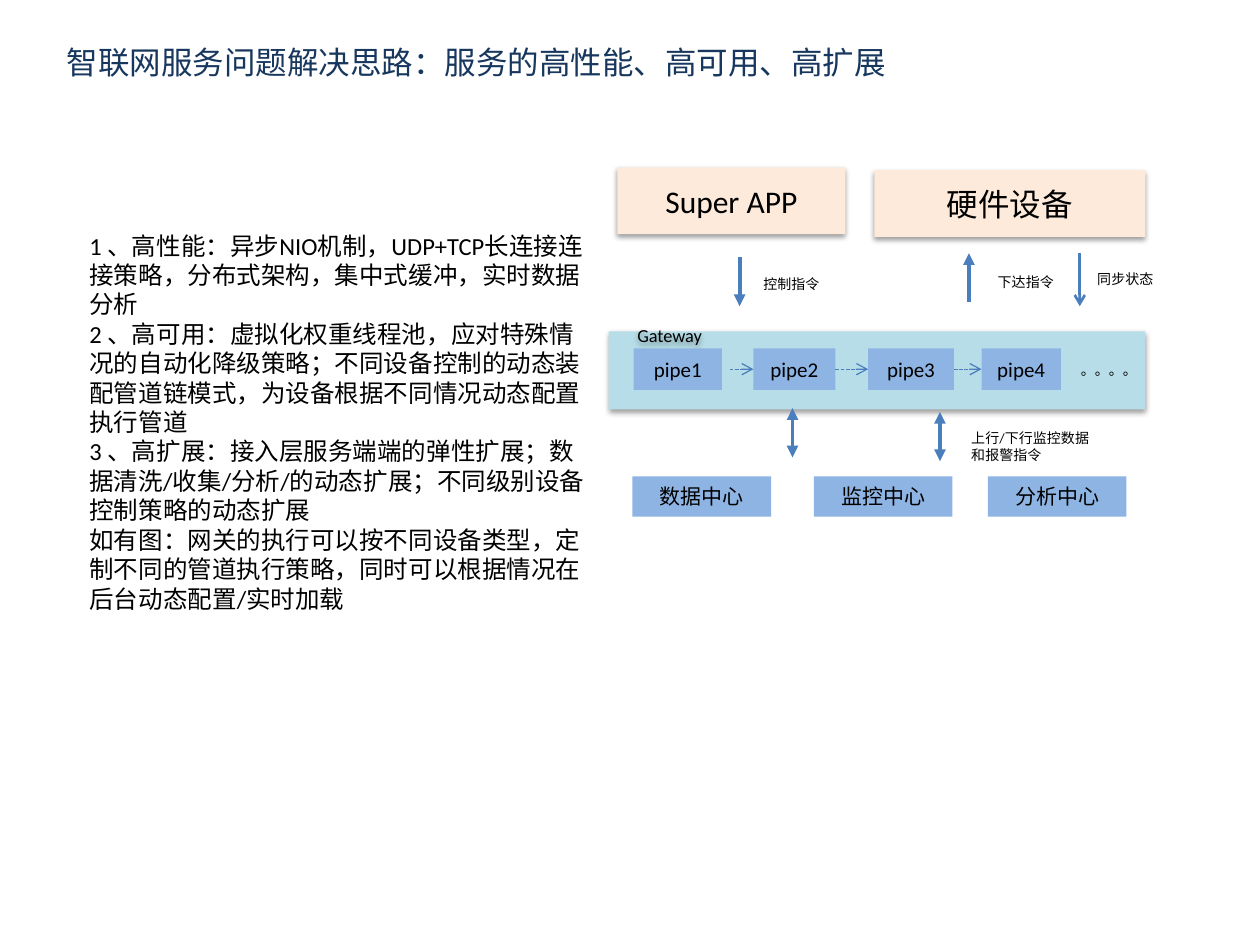
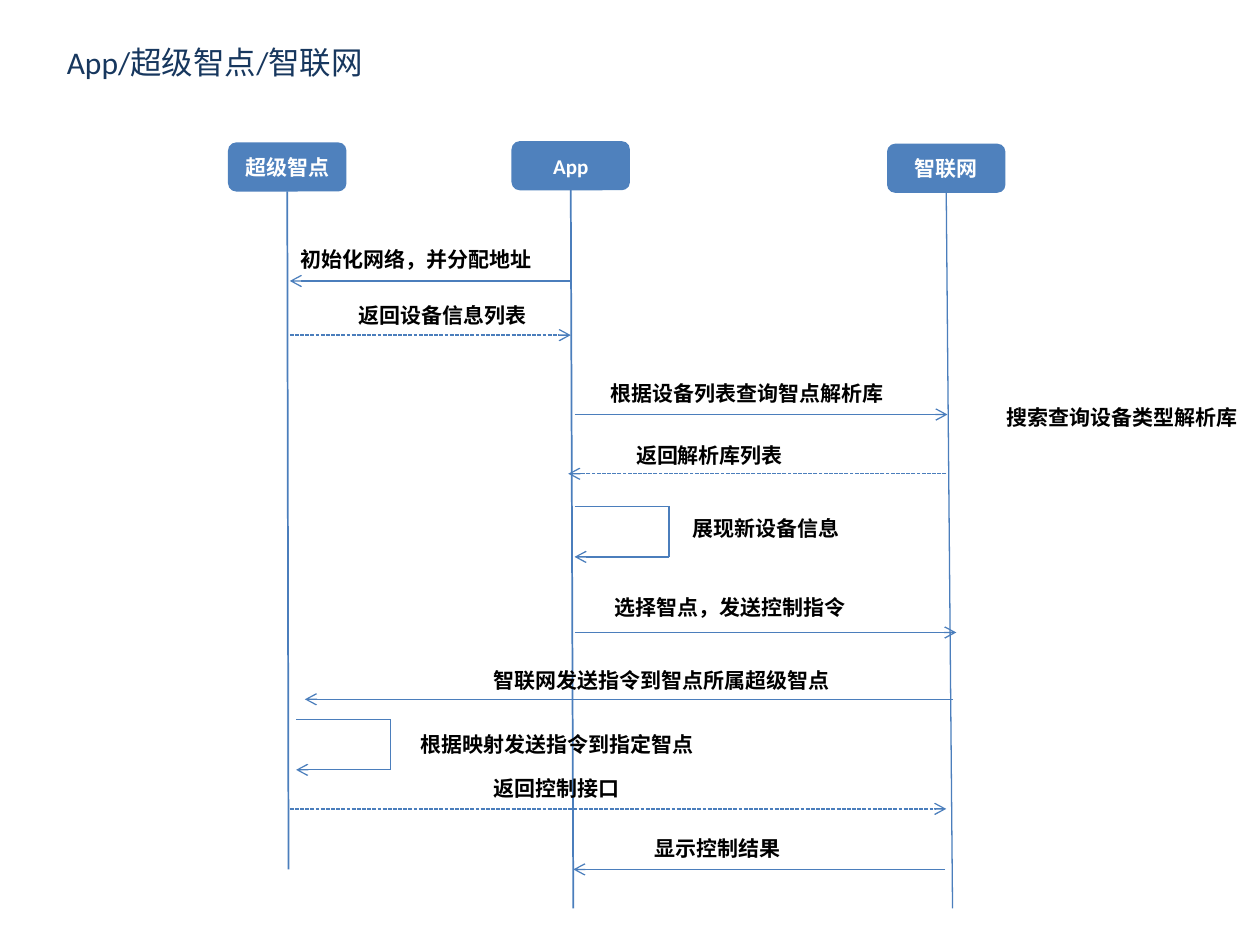
import lxml.etree
import pptx
import pptx.dml.color
import pptx.enum.dml
import pptx.enum.shapes
import pptx.enum.text
import pptx.oxml.ns
import pptx.shapes.autoshape
import pptx.util

# The slide is a grid of 100 columns by 75 rows of equal size
COLS, ROWS = 100, 75
UNIT = pptx.util.Inches(10) / COLS

FONT = "Calibri"
BLACK, WHITE, NAVY = "000000", "FFFFFF", "17375E"
PEACH, AQUA, SKY, BLUE = "FDEADA", "B7DEE8", "8EB4E3", "4F81BD"
LINE = "4B7EBC"

KIND = pptx.enum.shapes.MSO_SHAPE
ALIGN = pptx.enum.text.PP_ALIGN
ANCHOR = pptx.enum.text.MSO_ANCHOR
qn = pptx.oxml.ns.qn


# ---- Shared helpers ----
def hue(code):
    return pptx.dml.color.RGBColor.from_string(code)


def grid(*spans):
    return [round(span * UNIT) for span in spans]


def move(box, x, y, *size):
    """Shift a place inside a box to its place on the slide."""
    return (box[0] + x, box[1] + y, *size)


def node(parent, tag, **attrs):
    return lxml.etree.SubElement(parent, qn(tag), attrs)


def write(frame, text, size=12, color=BLACK, bold=False,
          align=ALIGN.LEFT, anchor=ANCHOR.TOP):
    frame.word_wrap = True
    frame.auto_size = pptx.enum.text.MSO_AUTO_SIZE.NONE
    frame.vertical_anchor = anchor
    frame.text = text
    for para in frame.paragraphs:
        para.alignment = align
        para.space_before = pptx.util.Pt(0)
        for run in para.runs:
            run.font.name = FONT
            run.font.size = pptx.util.Pt(size)
            run.font.bold = bold
            run.font.color.rgb = hue(color)


def cast(shape):
    """Give a shape a soft shadow below."""
    shape.shadow.inherit = False
    soft = node(shape._element.spPr.find(qn("a:effectLst")), "a:outerShdw",
                blurRad="40000", dist="20000", dir="5400000", rotWithShape="0")
    tint = node(soft, "a:srgbClr", val=BLACK)
    node(tint, "a:alpha", val="38000")


def label(slide, box, text, **style):
    shape = slide.shapes.add_textbox(*grid(*box))
    write(shape.text_frame, text, **style)
    return shape


def block(slide, box, text, fill, kind=KIND.RECTANGLE, shade=False, **style):
    shape = slide.shapes.add_shape(kind, *grid(*box))
    shape.shadow.inherit = False
    shape.fill.solid()
    shape.fill.fore_color.rgb = hue(fill)
    shape.line.fill.background()
    write(shape.text_frame, text, align=ALIGN.CENTER, anchor=ANCHOR.MIDDLE, **style)
    if shade:
        cast(shape)
    return shape


def link(slide, start, end, width=0.75, dash=False, head=None, tail=None):
    """Draw a line; each end is a point or a (shape, side) pair."""
    ends = [(end_, isinstance(end_[0], pptx.shapes.autoshape.Shape))
            for end_ in (start, end)]
    spots = [(0, 0) if glued else grid(*spot) for spot, glued in ends]
    line = slide.shapes.add_connector(
        pptx.enum.shapes.MSO_CONNECTOR.STRAIGHT, *spots[0], *spots[1])
    for (spot, glued), join in zip(ends, (line.begin_connect, line.end_connect)):
        if glued:
            join(*spot)
    line.line.color.rgb = hue(LINE)
    line.line.width = pptx.util.Pt(width)
    if dash:
        line.line.dash_style = pptx.enum.dml.MSO_LINE.SQUARE_DOT
    props = line._element.spPr
    for tag, tip in (("a:headEnd", head), ("a:tailEnd", tail)):
        if tip:
            node(props.find(qn("a:ln")), tag, type=tip)
    node(props, "a:effectLst")


def place(shape, box):
    shape.left, shape.top, shape.width, shape.height = grid(*box)


def start(deck, layout, title, width):
    slide = deck.slides.add_slide(deck.slide_layouts[layout])
    place(slide.shapes.title, (4.3, 2.9, width, 5.1))
    write(slide.shapes.title.text_frame, title, size=18, color=NAVY)
    return slide


# ---- Slide 1: service design ----
POINTS = [
    "1 、高性能：异步NIO机制，UDP+TCP长连接连接策略，分布式架构，集中式缓冲，实时数据分析",
    "2 、高可用：虚拟化权重线程池，应对特殊情况的自动化降级策略；不同设备控制的动态装配管道链模式，"
    "为设备根据不同情况动态配置执行管道",
    "3 、高扩展：接入层服务端端的弹性扩展；数据清洗/收集/分析/的动态扩展；不同级别设备控制策略的动态扩展",
    "如有图：网关的执行可以按不同设备类型，定制不同的管道执行策略，同时可以根据情况在后台动态配置/实时加载",
]


def points(slide, box):
    body = slide.placeholders[1]
    place(body, box)
    write(body.text_frame, "\n".join(POINTS), size=14)
    for para in body.text_frame.paragraphs:
        props = para._p.get_or_add_pPr()
        props.set("marL", "0")
        props.set("indent", "0")
        node(props, "a:buNone")


def clients(slide, box):
    block(slide, move(box, 0.7, 0, 18.1, 5.3), "Super APP", PEACH, shade=True, size=18)
    block(slide, move(box, 21.1, 0.2, 21.5, 5.3), "硬件设备", PEACH, shade=True, size=18)
    # Commands down, commands up, state down
    for x, top, base, style in (
            (10.4, 7.1, 11, dict(width=2.25, tail="triangle")),
            (28.6, 6.8, 10.7, dict(width=2.25, head="triangle")),
            (37.4, 6.8, 11, dict(width=1.5, tail="arrow"))):
        link(slide, move(box, x, top), move(box, x, base), **style)
    for x, y, text in ((11.3, 8.1, "控制指令"), (29.9, 7.9, "下达指令"),
                       (37.8, 7.7, "同步状态")):
        label(slide, move(box, x, y, 12.2, 2.4), text, size=8)


def gateway(slide, box):
    block(slide, box, "", AQUA, shade=True)
    name = label(slide, move(box, -1, -0.9, 11.7, 2.4), "Gateway", size=10.5,
                 align=ALIGN.CENTER, anchor=ANCHOR.MIDDLE)
    cast(name)
    # Chain of pipes
    spans = ((2, 7), (11.5, 6.5), (20.6, 6.8), (29.6, 6.3))
    pipes = [block(slide, move(box, x, 1.35, wide, 3.3), f"pipe{i}", SKY)
             for i, (x, wide) in enumerate(spans, 1)]
    link(slide, move(box, 9.6, 3), (pipes[1], 1), dash=True, tail="arrow")
    for left, right in zip(pipes[1:], pipes[2:]):
        link(slide, (left, 3), (right, 1), dash=True, tail="arrow")
    label(slide, move(box, 36.5, 1.9, 12.2, 2.4), "。。。。", size=8)


def centers(slide, box):
    for x, y in ((14.6, 0), (26.3, 0.3)):
        link(slide, move(box, x, y), move(box, x, y + 3.9),
             width=2.25, head="triangle", tail="triangle")
    label(slide, move(box, 27.8, 1.2, 12.2, 3.7), "上行/下行监控数据和报警指令", size=8)
    for x, text in ((1.9, "数据中心"), (16.3, "监控中心"), (30.1, "分析中心")):
        block(slide, move(box, x, 5.4, 11, 3.2), text, SKY)


def design(deck):
    slide = start(deck, 1, "智联网服务问题解决思路：服务的高性能、高可用、高扩展", 69.3)
    points(slide, (6.1, 17.8, 41.7, 31.6))
    clients(slide, (48.3, 13.3))
    gateway(slide, (48.3, 26.3, 42.6, 6.2))
    centers(slide, (48.3, 32.4))


# ---- Slide 2: call sequence ----
# Header left, header top, foot x, foot y, line width
ACTORS = [
    ("超级智点", 0, 0.1, 4.8, 57.8, 1),
    ("App", 22.5, 0, 27.4, 60.9, 1),
    ("智联网", 52.3, 0.2, 57.5, 60.9, 0.75),
]
# Start x, end x, y, dashed, label x, label rise, label
CALLS = [
    (27.2, 4.9, 11.1, False, 4.8, 3.2, "初始化网络，并分配地址"),
    (4.9, 27.2, 15.4, True, 9.4, 3.1, "返回设备信息列表"),
    (27.5, 57.1, 21.7, False, 29.4, 3.2, "根据设备列表查询智点解析库"),
    (57, 27, 26.4, True, 31.4, 3, "返回解析库列表"),
    (27.5, 57.8, 39, False, 29.7, 3.5, "选择智点，发送控制指令"),
    (57.5, 6.1, 44.3, False, 20.1, 3, "智联网发送指令到智点所属超级智点"),
    (4.9, 57, 53, True, 20.1, 3.1, "返回控制接口"),
    (56.9, 27.4, 57.8, False, 32.9, 3.2, "显示控制结果"),
]
# Left x, top y of each self call
LOOPS = [(27.5, 29), (5.4, 45.9)]
NOTES = [(35.9, 29.2, "展现新设备信息"), (14.3, 46.4, "根据映射发送指令到指定智点"),
         (60.8, 20.4, "搜索查询设备类型解析库")]


def note(slide, box, x, y, text):
    wide = 1.67 * len(text) + 2.5
    label(slide, move(box, x, y, wide, 3), text, bold=True)


def actors(slide, box):
    for text, x, y, foot, base, width in ACTORS:
        card = block(slide, move(box, x, y, 9.4, 3.9), text, BLUE,
                     kind=KIND.ROUNDED_RECTANGLE, color=WHITE, bold=True)
        link(slide, (card, 2), move(box, foot, base), width=width)


def calls(slide, box):
    for x, end, y, dash, left, rise, text in CALLS:
        link(slide, move(box, x, y), move(box, end, y), dash=dash, tail="arrow")
        note(slide, box, left, y - rise, text)
    for x, y in LOOPS:
        a, b, c, d = (move(box, x + dx, y + dy)
                      for dx, dy in ((0, 0), (7.5, 0), (7.5, 4), (0, 4)))
        link(slide, a, b)
        link(slide, b, c)
        link(slide, c, d, tail="arrow")
    for x, y, text in NOTES:
        note(slide, box, x, y, text)


def flow(deck):
    slide = start(deck, 5, "App/超级智点/智联网", 59.1)
    box = (18.1, 11.2)
    actors(slide, box)
    calls(slide, box)


def main():
    deck = pptx.Presentation()
    deck.slide_width, deck.slide_height = grid(COLS, ROWS)
    design(deck)
    flow(deck)
    deck.save("out.pptx")


if __name__ == "__main__":
    main()
